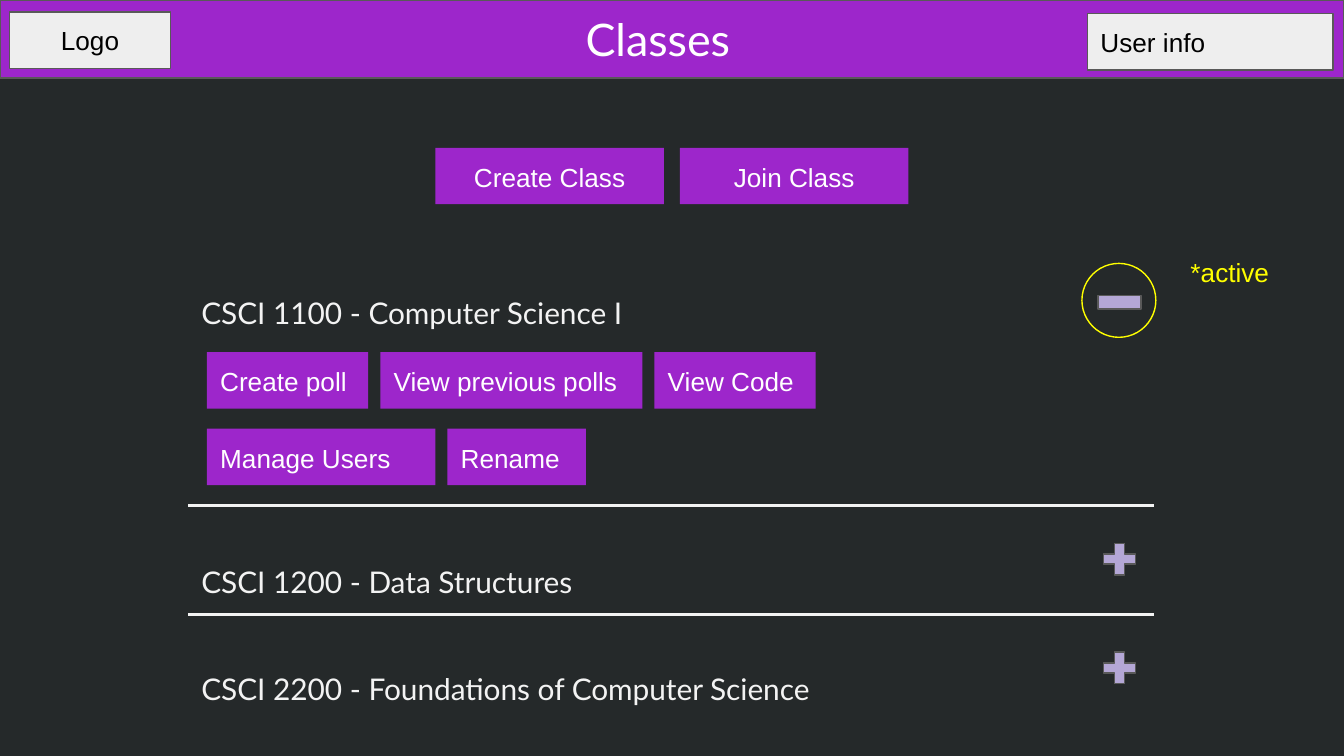
"""Build the Classes page mock-up slide."""
import pptx
import pptx.util
import pptx.dml.color
import pptx.enum.shapes
import pptx.enum.text
import pptx.oxml.ns
from lxml import etree

Inches, Pt = pptx.util.Inches, pptx.util.Pt
KIND = pptx.enum.shapes.MSO_SHAPE
ALIGN = pptx.enum.text.PP_ALIGN
ANCHOR = pptx.enum.text.MSO_ANCHOR

DARK, PURPLE, LILAC, GREY = "25292A", "9D26CB", "B4A7D6", "595959"
PALE, WHITE, BLACK, YELLOW, SOFT = "EEEEEE", "FFFFFF", "000000", "FFFF00", "F3F3F3"

HEADER = [
    ("Logo", (0.07, 0.09, 1.2, 0.42), ALIGN.CENTER),
    ("User info", (8.09, 0.1, 1.83, 0.42), ALIGN.LEFT),
]
ROWS = [
    (3.24, 1.1, 0.12, ALIGN.CENTER, [("Create Class", 1.7), ("Join Class", 1.7)]),
    (1.54, 2.62, 0.09, ALIGN.LEFT,
     [("Create poll", 1.2), ("View previous polls", 1.95), ("View Code", 1.2)]),
    (1.54, 3.19, 0.09, ALIGN.LEFT, [("Manage Users", 1.7), ("Rename", 1.03)]),
]
LINE = 28.8
COURSES = [
    ("CSCI 1100 - Computer Science I", 0),
    ("CSCI 1200 - Data Structures", 4),
    ("CSCI 2200 - Foundations of Computer Science", 1),
]
RULES = [3.76, 4.57]
ICON = 8.17, 0.32


def color(code):
    return pptx.dml.color.RGBColor.from_string(code)


def write(par, text, size, font, code, align=ALIGN.LEFT):
    par.alignment = align
    run = par.add_run()
    run.text = text
    run.font.size = Pt(size)
    run.font.name = font
    run.font.color.rgb = color(code)


def frame(shape, anchor):
    body = shape.text_frame
    body.word_wrap = True
    body.vertical_anchor = anchor
    body.margin_left = body.margin_right = Inches(0.1)
    body.margin_top = body.margin_bottom = Inches(0.1)
    return body


def draw(slide, kind, box, fill=None, line=None):
    shape = slide.shapes.add_shape(kind, *map(Inches, box))
    shape.shadow.inherit = False
    if fill:
        shape.fill.solid()
        shape.fill.fore_color.rgb = color(fill)
    else:
        shape.fill.background()
    if line:
        shape.line.color.rgb = color(line)
        shape.line.width = Pt(0.75)
    else:
        shape.line.fill.background()
    return shape


def label(slide, box, anchor=ANCHOR.TOP):
    return frame(slide.shapes.add_textbox(*map(Inches, box)), anchor)


def rule(slide, top):
    line = slide.shapes.add_connector(
        pptx.enum.shapes.MSO_CONNECTOR.STRAIGHT,
        Inches(1.4), Inches(top), Inches(8.59), Inches(top))
    line.line.color.rgb = color(SOFT)
    line.line.width = Pt(1.5)
    props = line._element.spPr
    etree.SubElement(props, pptx.oxml.ns.qn("a:effectLst"))


def main():
    deck = pptx.Presentation()
    deck.slide_width = Inches(10)
    deck.slide_height = deck.slide_width * 9 // 16
    slide = deck.slides.add_slide(deck.slide_layouts[6])
    slide.background.fill.solid()
    slide.background.fill.fore_color.rgb = color(DARK)

    draw(slide, KIND.OVAL, (8.05, 1.96, 0.55, 0.55), line=YELLOW)
    draw(slide, KIND.RECTANGLE, (0, 0, 10, 0.58), PURPLE, GREY)
    for text, box, align in HEADER:
        shape = draw(slide, KIND.RECTANGLE, box, PALE, GREY)
        write(frame(shape, ANCHOR.MIDDLE).paragraphs[0], text, 14, "Arial", BLACK, align)
    title = label(slide, (3.36, 0, 3.07, 0.58), ANCHOR.MIDDLE)
    write(title.paragraphs[0], "Classes", 24, "Lato", WHITE, ALIGN.CENTER)

    body = label(slide, (1.4, 1.96, 5.87, 2.59))
    for place, (text, skip) in enumerate(COURSES):
        par = body.add_paragraph() if place else body.paragraphs[0]
        par.line_spacing = 1.5
        par.space_before = Pt(skip * LINE)
        write(par, text, 16, "Lato", SOFT)

    for left, top, gap, align, items in ROWS:
        for text, width in items:
            shape = draw(slide, KIND.RECTANGLE, (left, top, width, 0.42), PURPLE)
            write(frame(shape, ANCHOR.TOP).paragraphs[0], text, 14, "Arial", WHITE, align)
            left += width + gap

    left, size = ICON
    draw(slide, KIND.RECTANGLE, (left, 2.2, size, 0.1), LILAC, GREY)
    for top in RULES:
        rule(slide, top)
        plus = draw(slide, KIND.MATH_PLUS, (left, top + 0.24, size, size), LILAC, GREY)
        plus.adjustments[0] = 0.235
    note = label(slide, (8.76, 1.81, 1.03, 0.55))
    write(note.paragraphs[0], "*active", 14, "Arial", YELLOW)

    deck.save("out.pptx")


if __name__ == "__main__":
    main()
